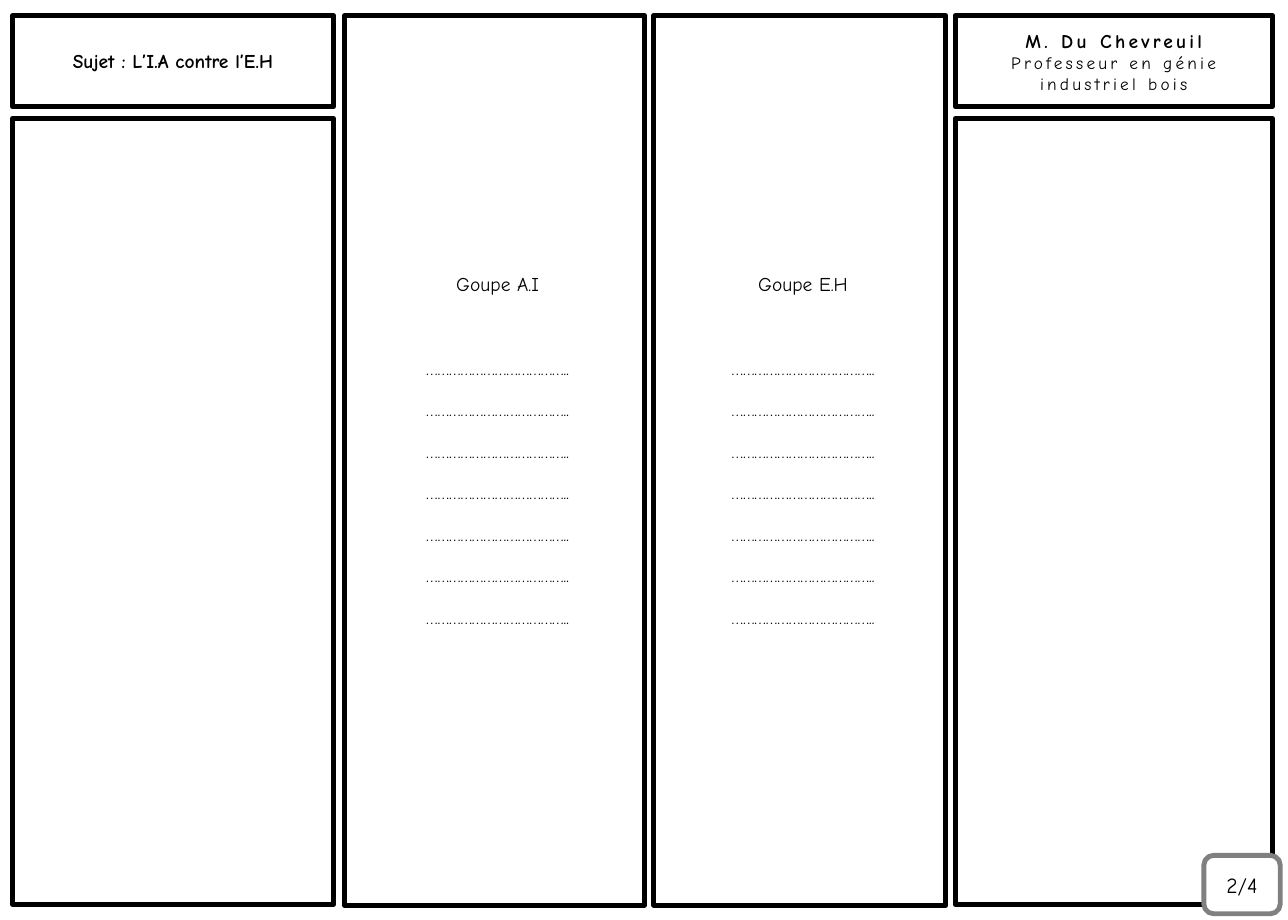
from pptx import Presentation
from pptx.dml.color import RGBColor
from pptx.enum.shapes import MSO_SHAPE
from pptx.enum.text import MSO_ANCHOR, MSO_AUTO_SIZE, PP_ALIGN
from pptx.util import Inches, Pt

RECT, ROUNDED = MSO_SHAPE.RECTANGLE, MSO_SHAPE.ROUNDED_RECTANGLE
MIDDLE, CENTER, NO_FIT = MSO_ANCHOR.MIDDLE, PP_ALIGN.CENTER, MSO_AUTO_SIZE.NONE
BLACK = RGBColor(0, 0, 0)
WHITE = RGBColor(255, 255, 255)
GRAY = RGBColor(128, 128, 128)
FONT = "Comic Neue"

# Content: each line is (text, size, bold)
SUBJECT = [("Sujet : L’I.A contre l’E.H", 18, True)]
TEACHER = [
    ("M. Du Chevreuil", 18, True),
    ("Professeur en génie", 16, False),
    ("industriel bois", 16, False),
]
PAGE_NUMBER = [("2/4", 20, False)]
GROUPS = [("Goupe A.I", 4.42, 3.85), ("Goupe E.H", 8.39, 3.75)]
ANSWER_LINE = "……………………………….."
ANSWER_COUNT = 7

# Layout in inches
TOP, HEADER_HEIGHT = 0.2, 1.17
PANEL_TOP, PANEL_HEIGHT = 1.52, 10.09
GROUP_HEIGHT = 11.42
LEFT_COLUMN = (0.16, 4.12)
RIGHT_COLUMN = (12.26, 4.07)
HEADING_GAP = 38.4  # points between a group's name and its answer lines

deck = Presentation()
deck.slide_width, deck.slide_height = Inches(16.53), Inches(11.81)
page = deck.slides.add_slide(deck.slide_layouts[5])


def style_box(box, color=BLACK):
    box.fill.solid()
    box.fill.fore_color.rgb = WHITE
    box.line.color.rgb = color
    box.line.width = Pt(4.5)


def add_box(left, top, width, height, kind=RECT, color=BLACK):
    box = page.shapes.add_shape(kind, *map(Inches, (left, top, width, height)))
    box.shadow.inherit = False
    style_box(box, color)
    return box


def write(box, lines, letter_spacing=0):
    frame = box.text_frame
    settings = {"word_wrap": True, "auto_size": NO_FIT, "vertical_anchor": MIDDLE}
    for name, value in settings.items():
        setattr(frame, name, value)
    for index, (text, size, bold) in enumerate(lines):
        para = frame.paragraphs[0] if index == 0 else frame.add_paragraph()
        para.alignment = CENTER
        span = para.add_run()
        span.text = text
        for name, value in {"name": FONT, "size": Pt(size), "bold": bold}.items():
            setattr(span.font, name, value)
        span.font.color.rgb = BLACK
        if letter_spacing:
            span._r.get_or_add_rPr().set("spc", str(letter_spacing * 100))
    return frame


# Subject header
subject = page.shapes.title
subject.left, subject.width = map(Inches, LEFT_COLUMN)
subject.top, subject.height = Inches(TOP), Inches(HEADER_HEIGHT)
style_box(subject)
write(subject, SUBJECT)

# Empty side panels
for left, width in (LEFT_COLUMN, RIGHT_COLUMN):
    add_box(left, PANEL_TOP, width, PANEL_HEIGHT)

# Teacher header
left, width = RIGHT_COLUMN
write(add_box(left, TOP, width, HEADER_HEIGHT), TEACHER, letter_spacing=3)

# Page number
badge = add_box(15.45, 10.98, 0.98, 0.75, ROUNDED, GRAY)
write(badge, PAGE_NUMBER)

# Group columns with answer lines
for group, left, width in GROUPS:
    lines = [(group, 18, False)] + [(ANSWER_LINE, 16, False)] * ANSWER_COUNT
    frame = write(add_box(left, TOP, width, GROUP_HEIGHT), lines)
    frame.margin_left = Inches(0.18)
    frame.margin_bottom = Inches(0.32)
    heading, *answers = frame.paragraphs
    heading.space_after = Pt(HEADING_GAP)
    for para in answers:
        para.line_spacing = 2.0

deck.save("out.pptx")
